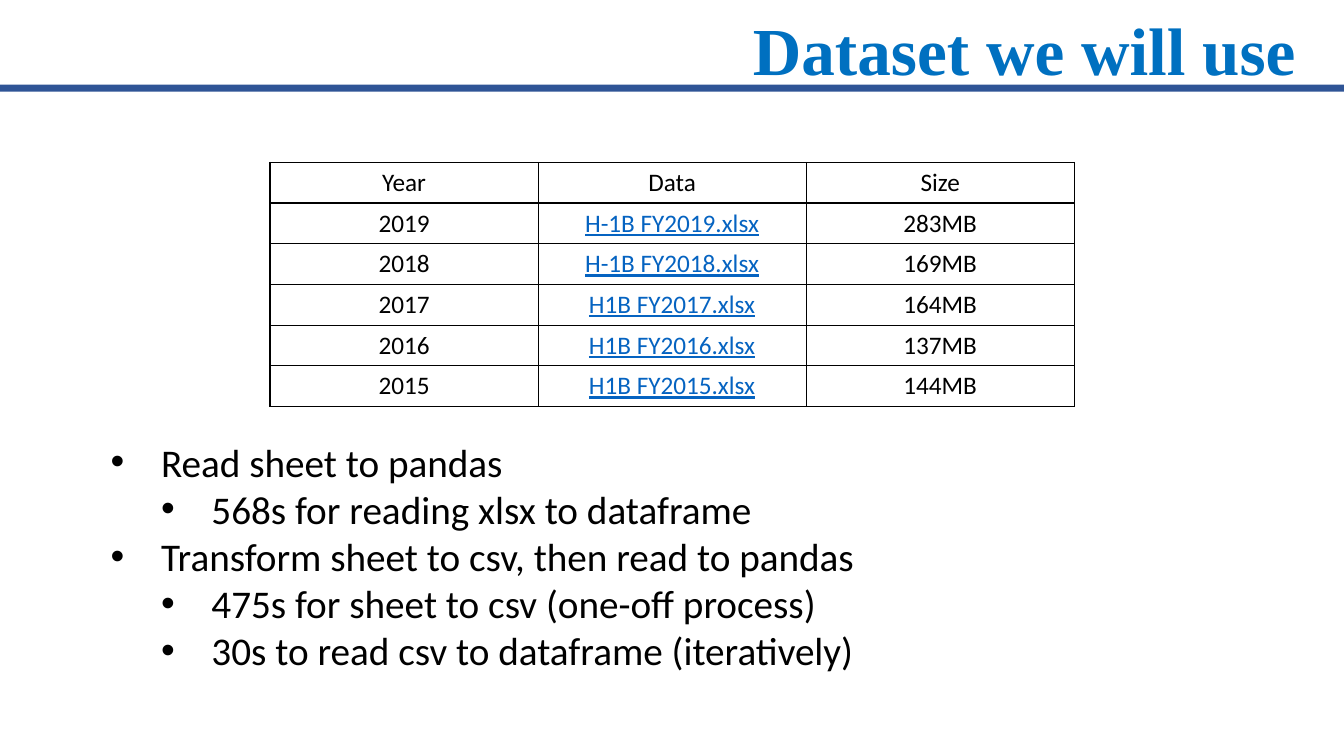
from lxml.etree import SubElement
from pptx import Presentation
from pptx.dml.color import RGBColor
from pptx.enum.shapes import MSO_SHAPE as Shape
from pptx.enum.text import MSO_ANCHOR as Anchor, PP_ALIGN as Align
from pptx.oxml.ns import qn
from pptx.util import Pt

COLORS = {
    "text": "000000",
    "title": "0070C0",
    "rule": "2F5496",
    "file": "0563C1",
    "paper": "FFFFFF",
}
DATASETS = [
    ("Year", "Data", "Size"),
    ("2019", "H-1B FY2019.xlsx", "283MB"),
    ("2018", "H-1B FY2018.xlsx", "169MB"),
    ("2017", "H1B FY2017.xlsx", "164MB"),
    ("2016", "H1B FY2016.xlsx", "137MB"),
    ("2015", "H1B FY2015.xlsx", "144MB"),
]
TIMINGS = [
    (0, "Read sheet to pandas"),
    (1, "568s for reading xlsx to dataframe"),
    (0, "Transform sheet to csv, then read to pandas"),
    (1, "475s for sheet to csv (one-off process)"),
    (1, "30s to read csv to dataframe (iteratively)"),
]


def color(name):
    return RGBColor.from_string(COLORS[name])


def add_run(paragraph, text, size, ink="text", face="Calibri"):
    run = paragraph.add_run()
    run.text = text
    run.font.size = Pt(size)
    run.font.name = face
    run.font.color.rgb = color(ink)
    return run


def add_title(slide, text):
    title = slide.shapes.add_textbox(Pt(537.8), Pt(3.6), Pt(464.4), Pt(61.9))
    frame = title.text_frame
    frame.word_wrap = True
    frame.margin_left = frame.margin_right = 0
    frame.margin_top = frame.margin_bottom = 0
    frame.vertical_anchor = Anchor.MIDDLE
    add_run(frame.paragraphs[0], text, 48, "title", "Times New Roman").font.bold = True


def add_rule(slide):
    rule = slide.shapes.add_shape(Shape.RECTANGLE, 0, Pt(60.5), Pt(960), Pt(5))
    rule.shadow.inherit = False
    rule.fill.solid()
    rule.fill.fore_color.rgb = color("rule")
    rule.line.fill.background()


def add_borders(cell):
    props = cell._tc.get_or_add_tcPr()
    for place, side in enumerate(("a:lnL", "a:lnR", "a:lnT", "a:lnB")):
        border = SubElement(props, qn(side), w=str(Pt(1)))
        fill = SubElement(border, qn("a:solidFill"))
        SubElement(fill, qn("a:srgbClr"), val=COLORS["text"])
        props.insert(place, border)  # borders come before the cell fill


def fill_cell(cell, text, is_file):
    cell.fill.solid()
    cell.fill.fore_color.rgb = color("paper")
    cell.vertical_anchor = Anchor.MIDDLE
    cell.margin_left = cell.margin_right = Pt(3.6)
    cell.margin_top = cell.margin_bottom = Pt(3.6)
    add_borders(cell)
    paragraph = cell.text_frame.paragraphs[0]
    paragraph.alignment = Align.CENTER
    run = add_run(paragraph, text, 18, "file" if is_file else "text")
    if is_file:
        run.font.underline = True


def add_dataset_table(slide, rows):
    frame = slide.shapes.add_table(len(rows), len(rows[0]),
                                   Pt(192.9), Pt(116), Pt(574.5), Pt(174.4))
    table = frame.table
    table.first_row = table.horz_banding = False
    for r, row in enumerate(rows):
        for c, text in enumerate(row):
            fill_cell(table.cell(r, c), text, is_file=r > 0 and c == 1)


def add_bullets(slide, items):
    box = slide.shapes.add_textbox(Pt(72), Pt(309.2), Pt(816.5), Pt(177.1))
    frame = box.text_frame
    frame.word_wrap = True
    for i, (level, text) in enumerate(items):
        paragraph = frame.add_paragraph() if i else frame.paragraphs[0]
        paragraph.level = level
        props = paragraph._p.get_or_add_pPr()
        props.set("marL", str(Pt(36 * (level + 1))))
        props.set("indent", str(Pt(-36)))
        SubElement(props, qn("a:buFont"), typeface="Arial")
        SubElement(props, qn("a:buChar"), char="•")
        add_run(paragraph, text, 28)


def main():
    deck = Presentation()
    deck.slide_width, deck.slide_height = Pt(960), Pt(540)
    slide = deck.slides.add_slide(deck.slide_layouts[6])

    # Reading times
    add_bullets(slide, TIMINGS)
    # Files by year
    add_dataset_table(slide, DATASETS)
    # Heading and rule
    add_title(slide, "Dataset we will use")
    add_rule(slide)

    deck.save("out.pptx")


if __name__ == "__main__":
    main()
